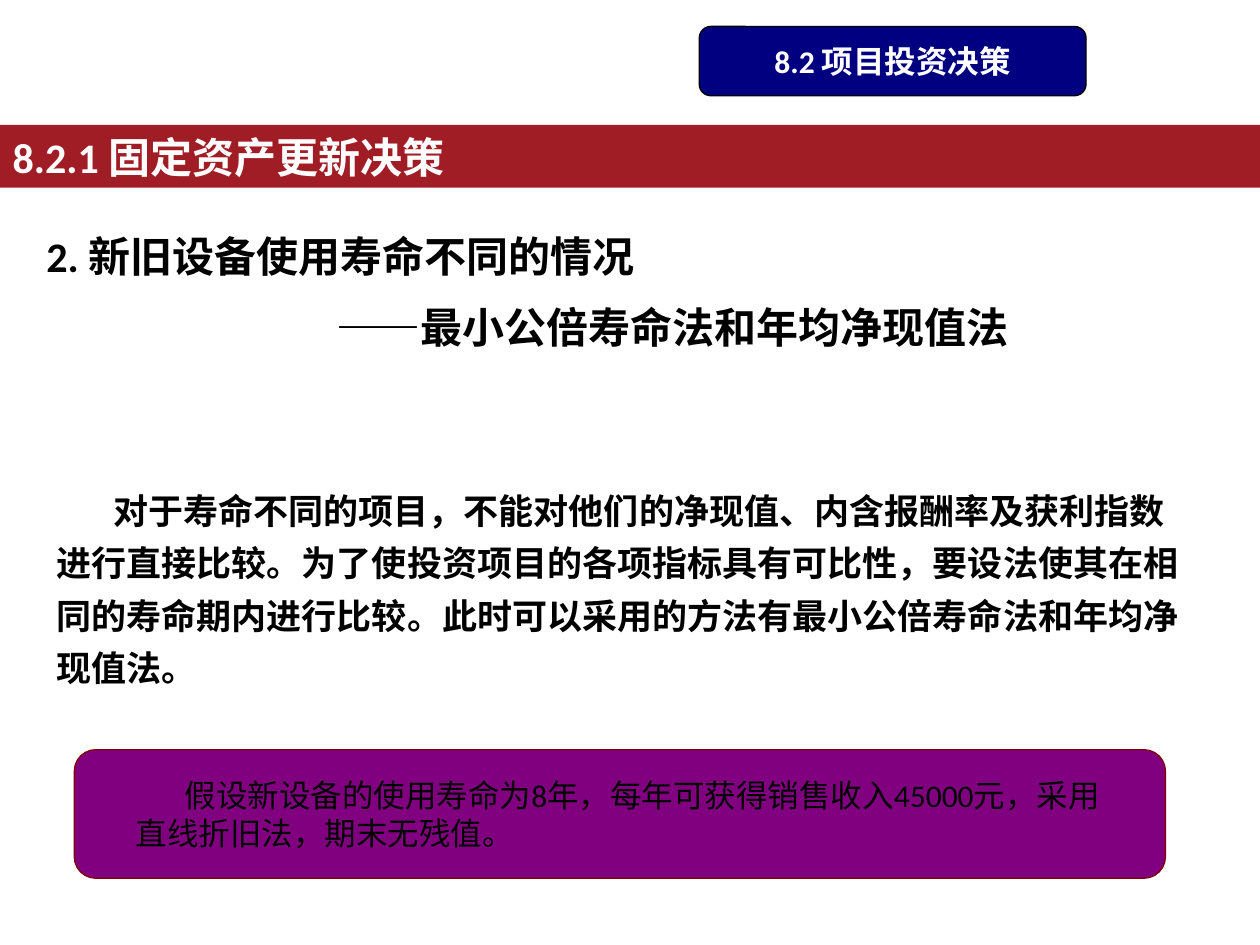
from pptx import Presentation
from pptx.dml.color import RGBColor
from pptx.enum.shapes import MSO_SHAPE
from pptx.enum.text import MSO_ANCHOR, MSO_AUTO_SIZE, PP_ALIGN
from pptx.util import Inches, Pt

TITLE = "8.2.1 固定资产更新决策"
CHAPTER = "8.2 项目投资决策"
HEADING = ["2. 新旧设备使用寿命不同的情况", "——最小公倍寿命法和年均净现值法"]
BODY = ["对于寿命不同的项目，不能对他们的净现值、内含报酬率及获利指数进行直接比较。"
        "为了使投资项目的各项指标具有可比性，要设法使其在相同的寿命期内进行比较。"
        "此时可以采用的方法有最小公倍寿命法和年均净现值法。"]
EXAMPLE = ["假设新设备的使用寿命为8年，每年可获得销售收入45000元，采用直线折旧法，期末无残值。"]

FONT = "Calibri"
BLACK = RGBColor(0, 0, 0)
WHITE = RGBColor(255, 255, 255)
RED = RGBColor(0xA1, 0x1D, 0x26)
NAVY = RGBColor(0, 0, 0x80)
PURPLE = RGBColor(0x80, 0, 0x80)
MAROON = RGBColor(0x80, 0, 0)

TOP, MIDDLE = MSO_ANCHOR.TOP, MSO_ANCHOR.MIDDLE
LEFT, CENTER = PP_ALIGN.LEFT, PP_ALIGN.CENTER
TAB, PANEL = MSO_SHAPE.FLOWCHART_ALTERNATE_PROCESS, MSO_SHAPE.ROUNDED_RECTANGLE


def area(*lengths):
    return [Inches(length) for length in lengths]


def write(box, texts, size, color, bold=True, align=LEFT, anchor=TOP, wrap=True):
    frame = box.text_frame
    frame.text = "\n".join(texts)
    frame.word_wrap = wrap
    frame.auto_size = MSO_AUTO_SIZE.NONE
    frame.vertical_anchor = anchor
    for number, para in enumerate(frame.paragraphs):
        para.alignment = align
        if number:
            para.space_before = Pt(size / 2)
        for span in para.runs:
            span.font.name = FONT
            span.font.size = Pt(size)
            span.font.bold = bold
            span.font.color.rgb = color
    return frame.paragraphs


def indent(para, first=0, left=0):
    properties = para._p.get_or_add_pPr()
    properties.set("marL", str(Inches(left)))
    properties.set("indent", str(Inches(first)))


def add_panel(shapes, kind, place, fill, line):
    panel = shapes.add_shape(kind, *area(*place))
    panel.shadow.inherit = False
    panel.fill.solid()
    panel.fill.fore_color.rgb = fill
    panel.line.color.rgb = line
    panel.line.width = Pt(0.75)
    return panel


deck = Presentation()
deck.slide_width, deck.slide_height = area(10, 7.5)
page = deck.slides.add_slide(deck.slide_layouts[5])
shapes = page.shapes

title = shapes.title
title.left, title.top, title.width, title.height = area(0, 0.99, 10, 0.5)
title.fill.solid()
title.fill.fore_color.rgb = RED
write(title, [TITLE], 24, WHITE)

heading = shapes.add_textbox(*area(0.27, 1.78, 8.43, 1.1))
indent(write(heading, HEADING, 24, BLACK)[1], left=2.3)

chapter = add_panel(shapes, TAB, (5.55, 0.21, 3.07, 0.55), NAVY, BLACK)
write(chapter, [CHAPTER], 18, WHITE, align=CENTER, anchor=MIDDLE, wrap=False)

group = shapes.add_group_shape()
add_panel(group.shapes, PANEL, (0.59, 5.95, 8.66, 1.02), PURPLE, MAROON)
example = group.shapes.add_textbox(*area(0.98, 6.11, 8.03, 0.7))
indent(write(example, EXAMPLE, 18, BLACK, bold=False)[0], first=0.39)

body = shapes.add_textbox(*area(0.35, 3.75, 9.21, 1.77))
body_para = write(body, BODY, 20, BLACK)[0]
body_para.line_spacing = 1.25
indent(body_para, first=0.45)

deck.save("out.pptx")
